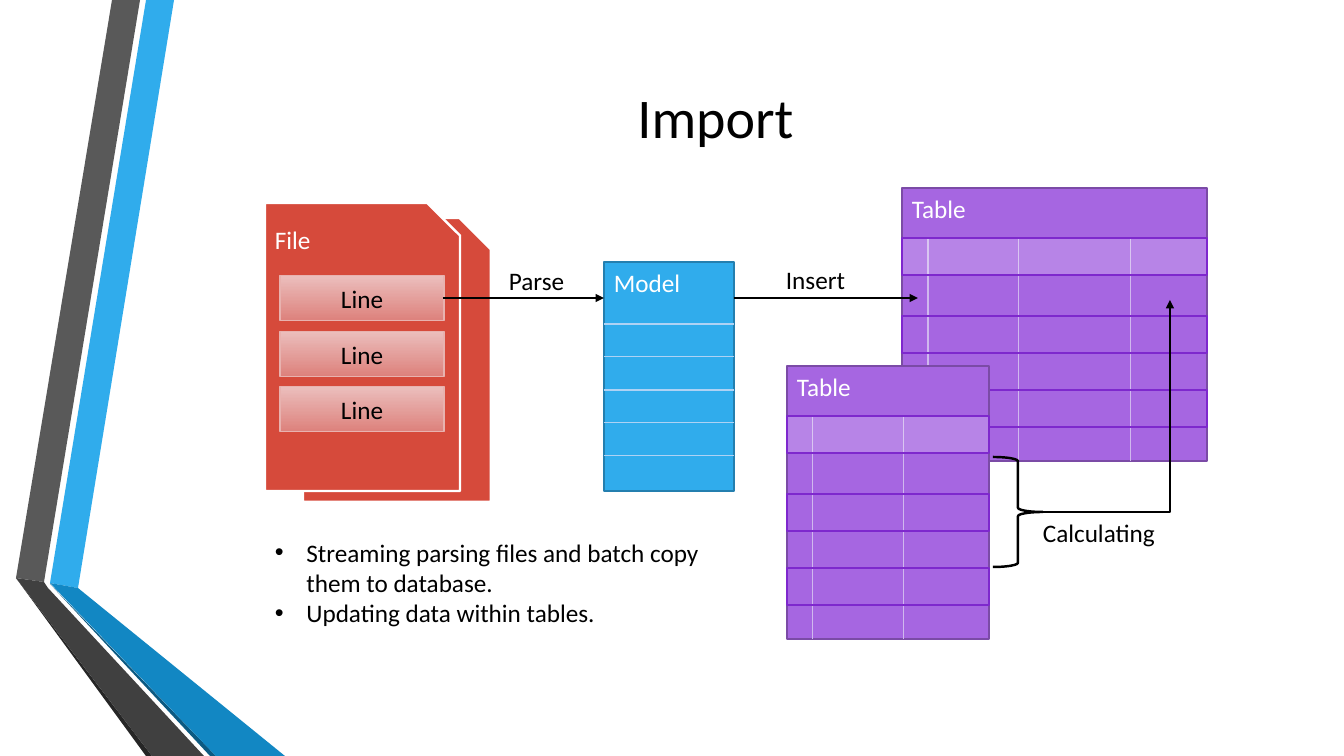
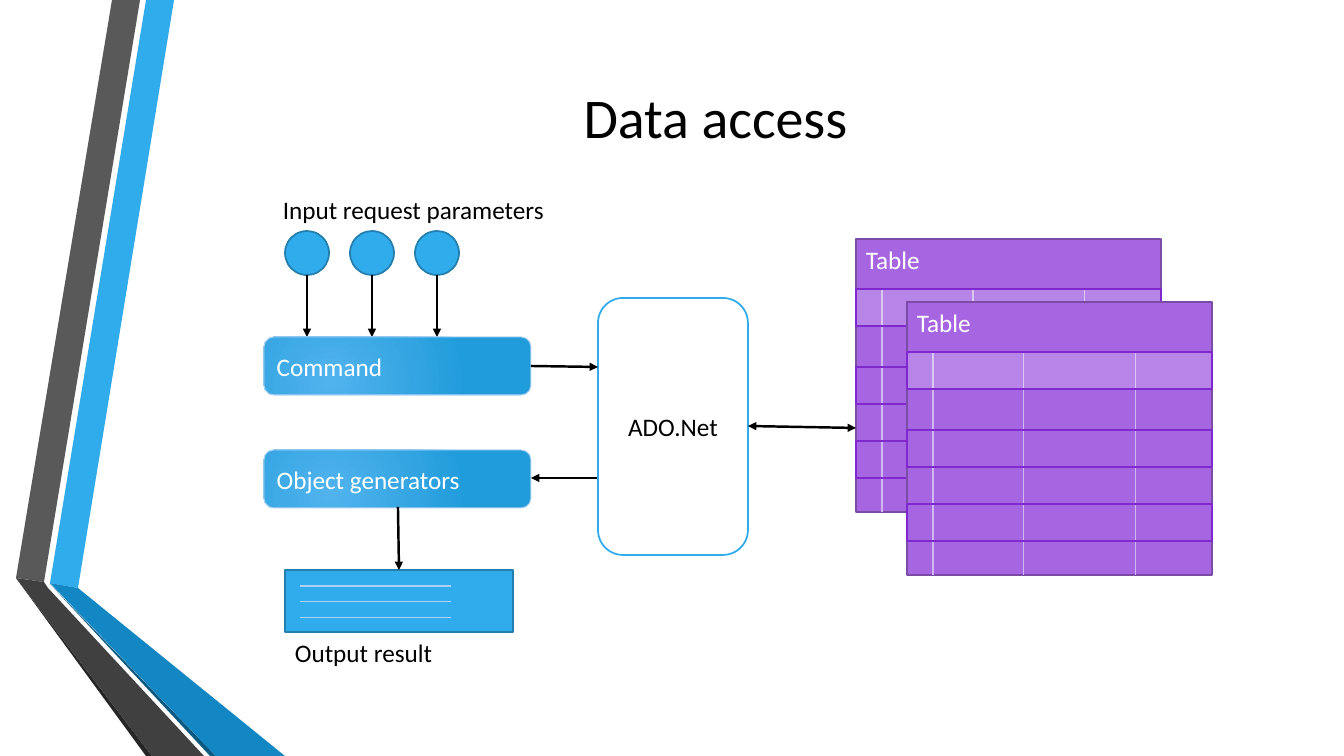
import lxml.etree
import pptx
import pptx.dml.color
import pptx.enum.dml
import pptx.enum.shapes
import pptx.enum.text
import pptx.oxml.ns
import pptx.util

RGB = pptx.dml.color.RGBColor
SHAPE = pptx.enum.shapes.MSO_SHAPE
CONNECTOR = pptx.enum.shapes.MSO_CONNECTOR
ALIGN = pptx.enum.text.PP_ALIGN
ANCHOR = pptx.enum.text.MSO_ANCHOR
qn = pptx.oxml.ns.qn

EMU_PER_PX = 914400 / 100.8
FONT = "Calibri"
BODY_PT, TITLE_PT = 18, 40
HAIR, THIN, THICK = 0.75, 1.25, 1.75

BLACK = RGB(0x00, 0x00, 0x00)
WHITE = RGB(0xFF, 0xFF, 0xFF)
BLUE = RGB(0x30, 0xAC, 0xEC)
BLUE_EDGE = RGB(0x24, 0x7F, 0xAF)
BLUE_RULE = RGB(0xAE, 0xD2, 0xF4)
BLUE_GLOW = (RGB(0x51, 0xB3, 0xED), RGB(0x21, 0x9C, 0xDB))
DEEP_BLUE = RGB(0x12, 0x87, 0xC3)
NAVY = RGB(0x0C, 0x5A, 0x82)
GRAY = RGB(0x59, 0x59, 0x59)
CHARCOAL = RGB(0x40, 0x40, 0x40)
SOOT = RGB(0x26, 0x26, 0x26)
RED = RGB(0xD6, 0x4A, 0x3B)
PINK_FADE = (RGB(0xEB, 0xBE, 0xBC), RGB(0xDD, 0x81, 0x7C))
PINK_EDGE = RGB(0xE8, 0xB2, 0xAF)
PURPLE = RGB(0xA6, 0x66, 0xE1)
PURPLE_EDGE = RGB(0x7B, 0x4B, 0xA6)
PURPLE_ROW = RGB(0x7E, 0x28, 0xCD)
PURPLE_RULE = RGB(0xD0, 0xB8, 0xEE)

SLIDE_SIZE = (1344, 756)
TITLE_BOX = (163, 76, 1105, 80)
BANDS = [
    (BLUE, [(50, 583), (78, 588), (174, 0), (146, 0)]),
    (GRAY, [(140, 0), (112, 0), (16, 578), (44, 582)]),
    (SOOT, [(16, 578), (146, 756), (152, 756)]),
    (NAVY, [(50, 584), (210, 756), (216, 756)]),
    (DEEP_BLUE, [(50, 583), (216, 756), (285, 756), (78, 588)]),
    (CHARCOAL, [(204, 756), (48, 588), (44, 582), (16, 578), (152, 756)]),
]

TABLE_HEIGHT, TABLE_HEADER, TABLE_ROW = 273, 50, 37
TABLE_COLUMNS = (26, 117, 229)
TABLE_ROW_TOPS = (128, 202)

IMPORT = {
    "title": "Import",
    "files": [((303, 218, 188, 284), ""), ((265, 203, 195, 288), "File")],
    "lines": ["Line"] * 3,
    "model": "Model",
    "tables": [("Table", 902, 188, 305), ("Table", 787, 366, 202)],
    "arrows": [(443, 298, 604, 298), (734, 298, 918, 298)],
    "labels": [("Parse", (499, 260, 99, 40)), ("Insert", (776, 259, 85, 40)),
               ("Calculating", (1033, 512, 140, 40))],
    "notes": ["Streaming parsing files and batch copy them to database.",
              "Updating data within tables."],
}
ACCESS = {
    "title": "Data access",
    "tables": [("Table", 856, 239, 305), ("Table", 907, 302, 305)],
    "steps": [("Command", 337), ("Object generators", 450)],
    "gateway": "ADO.Net",
    "arrows": [(531, 366, 598, 367), (597, 478, 531, 478), (398, 507, 399, 570)],
    "labels": [("Input request parameters", (273, 189, 361, 40)),
               ("Output result", (285, 632, 263, 40))],
}


def px(length):
    """Turn pixels into EMU."""
    return round(length * EMU_PER_PX)


def style_text(frame, color, align=ALIGN.LEFT, anchor=ANCHOR.TOP, size=BODY_PT):
    """Format every paragraph and run of a text frame."""
    frame.word_wrap = True
    frame.vertical_anchor = anchor
    for paragraph in frame.paragraphs:
        paragraph.alignment = align
        for run in paragraph.runs:
            run.font.name = FONT
            run.font.size = pptx.util.Pt(size)
            run.font.color.rgb = color


def add_box(shapes, kind, box, fill, edge, width=THIN):
    """Add a preset shape; fill is a colour, a pair for a gradient, or None."""
    shape = shapes.add_shape(kind, *map(px, box))
    shape.shadow.inherit = False
    if fill is None:
        shape.fill.background()
    elif isinstance(fill, RGB):
        shape.fill.solid()
        shape.fill.fore_color.rgb = fill
    else:
        shape.fill.gradient()
        shape.fill.gradient_angle = 270
        for position, (stop, color) in enumerate(zip(shape.fill.gradient_stops, fill)):
            stop.position = position
            stop.color.rgb = color
    shape.line.color.rgb = edge
    shape.line.width = pptx.util.Pt(width)
    return shape


def add_line(shapes, ends, color=BLACK, width=THICK, heads=(), kind=CONNECTOR.STRAIGHT):
    """Add a line; heads names the ends, headEnd or tailEnd, that get arrowheads."""
    line = shapes.add_connector(kind, *map(px, ends))
    line.line.color.rgb = color
    line.line.width = pptx.util.Pt(width)
    properties = line.element.spPr
    for head in heads:
        lxml.etree.SubElement(properties.find(qn("a:ln")), qn(f"a:{head}"), type="triangle")
    lxml.etree.SubElement(properties, qn("a:effectLst"))
    return line


def add_arrow(shapes, ends, **options):
    """Add a line with an arrowhead at its far end."""
    return add_line(shapes, ends, heads=("tailEnd",), **options)


def add_label(shapes, text, box):
    """Add a black text box that grows with its text."""
    label = shapes.add_textbox(*map(px, box))
    label.text_frame.text = text
    style_text(label.text_frame, BLACK)
    label.text_frame.auto_size = pptx.enum.text.MSO_AUTO_SIZE.SHAPE_TO_FIT_TEXT
    return label


def add_table_sketch(slide, name, left, top, width):
    """Draw a database table as a group: frame, column rules and rows."""
    shapes = slide.shapes.add_group_shape().shapes
    frame = add_box(shapes, SHAPE.RECTANGLE, (left, top, width, TABLE_HEIGHT),
                    PURPLE, PURPLE_EDGE)
    frame.text_frame.text = name
    style_text(frame.text_frame, WHITE)
    for column in TABLE_COLUMNS:
        if column < width:
            x = left + column
            add_line(shapes, (x, top + TABLE_HEADER, x, top + TABLE_HEIGHT),
                     PURPLE_RULE, HAIR)
    header = add_box(shapes, SHAPE.RECTANGLE, (left, top + TABLE_HEADER, width, TABLE_ROW),
                     WHITE, PURPLE_ROW)
    tint = header.element.spPr.find(qn("a:solidFill"))[0]
    lxml.etree.SubElement(tint, qn("a:alpha"), val="20000")
    for row_top in TABLE_ROW_TOPS:
        add_box(shapes, SHAPE.RECTANGLE, (left, top + row_top, width, TABLE_ROW),
                None, PURPLE_ROW)


def add_bands(layout, slide):
    """Draw the side bands and place them on the layout all slides share."""
    for unused in list(layout.placeholders)[1:]:
        layout.shapes.element.remove(unused.element)
    for color, points in BANDS:
        outline = [(px(x), px(y)) for x, y in points]
        builder = slide.shapes.build_freeform(*outline[0])
        builder.add_line_segments(outline[1:])
        band = builder.convert_to_shape()
        band.shadow.inherit = False
        band.fill.solid()
        band.fill.fore_color.rgb = color
        band.line.fill.background()
        layout.shapes.element.append(band.element)


def start_slide(deck, layout, title):
    """Add a slide with its formatted title."""
    slide = deck.slides.add_slide(layout)
    heading = slide.shapes.title
    heading.left, heading.top, heading.width, heading.height = map(px, TITLE_BOX)
    heading.text_frame.text = title
    style_text(heading.text_frame, BLACK, ALIGN.CENTER, ANCHOR.MIDDLE, TITLE_PT)
    return slide


def add_common(slide, content):
    """Draw the tables, arrows and labels listed in the content."""
    for table in content["tables"]:
        add_table_sketch(slide, *table)
    for ends in content["arrows"]:
        add_arrow(slide.shapes, ends)
    for text, box in content["labels"]:
        add_label(slide.shapes, text, box)


def draw_import(slide, content):
    """Draw files parsed into a model and inserted into tables."""
    shapes = slide.shapes
    for box, name in content["files"]:
        sheet = add_box(shapes, SHAPE.SNIP_1_RECTANGLE, box, RED, WHITE, THICK)
        sheet.text_frame.text = name
        style_text(sheet.text_frame, WHITE)
    for index, text in enumerate(content["lines"]):
        record = add_box(shapes, SHAPE.RECTANGLE, (280, 276 + 55.5 * index, 164, 45),
                         PINK_FADE, PINK_EDGE, HAIR)
        record.text_frame.text = text
        style_text(record.text_frame, BLACK, ALIGN.CENTER, ANCHOR.MIDDLE)

    model_shapes = shapes.add_group_shape().shapes
    model = add_box(model_shapes, SHAPE.RECTANGLE, (604, 262, 130, 229), BLUE, BLUE_EDGE)
    model.text_frame.text = content["model"]
    style_text(model.text_frame, WHITE)
    for y in range(324, 457, 33):
        add_line(model_shapes, (604, y, 734, y), BLUE_RULE, HAIR)

    add_common(slide, content)
    add_box(shapes, SHAPE.RIGHT_BRACE, (993, 457, 50, 110), None, BLACK, THICK)
    update = add_arrow(shapes, (1043, 512, 1170, 300), kind=CONNECTOR.ELBOW)
    update.element.spPr.find(qn("a:prstGeom")).set("prst", "bentConnector2")

    notes = add_label(shapes, "\n".join(content["notes"]), (265, 532, 462, 102))
    for paragraph in notes.text_frame.paragraphs:
        properties = paragraph._p.get_or_add_pPr()
        properties.set("marL", str(px(31.5)))
        properties.set("indent", str(-px(31.5)))
        lxml.etree.SubElement(properties, qn("a:buFont"), typeface="Arial")
        lxml.etree.SubElement(properties, qn("a:buChar"), char="•")


def draw_access(slide, content):
    """Draw parameters, commands and results passing through the gateway."""
    shapes = slide.shapes
    for index in range(3):
        left = 285 + 65 * index
        add_box(shapes, SHAPE.OVAL, (left, 231, 44, 44), BLUE, BLUE_EDGE)
        add_arrow(shapes, (left + 22, 275, left + 22, 337))
    for name, top in content["steps"]:
        step = add_box(shapes, SHAPE.ROUNDED_RECTANGLE, (264, top, 267, 58),
                       BLUE_GLOW, BLUE_RULE, HAIR)
        gradient = step.element.spPr.find(qn("a:gradFill"))
        gradient.remove(gradient.find(qn("a:lin")))
        circle = lxml.etree.SubElement(gradient, qn("a:path"))
        circle.set("path", "circle")
        lxml.etree.SubElement(circle, qn("a:fillToRect"),
                              l="50000", t="100000", r="100000", b="50000")
        step.text_frame.text = name
        style_text(step.text_frame, WHITE, anchor=ANCHOR.MIDDLE)

    gateway = add_box(shapes, SHAPE.ROUNDED_RECTANGLE, (598, 298, 150, 257), WHITE, BLUE)
    gateway.text_frame.text = content["gateway"]
    style_text(gateway.text_frame, BLACK, ALIGN.CENTER, ANCHOR.MIDDLE)

    result_shapes = shapes.add_group_shape().shapes
    add_box(result_shapes, SHAPE.RECTANGLE, (285, 570, 228, 62), BLUE, BLUE_EDGE)
    for y in range(586, 619, 16):
        add_line(result_shapes, (300, y, 451, y), BLUE_RULE, HAIR)

    add_common(slide, content)
    add_line(shapes, (748, 426, 856, 428), heads=("headEnd", "tailEnd"))


def main():
    """Build and save the deck."""
    deck = pptx.Presentation()
    deck.slide_width, deck.slide_height = map(px, SLIDE_SIZE)
    layout = deck.slide_layouts.get_by_name("Title Only")
    import_slide = start_slide(deck, layout, IMPORT["title"])
    add_bands(layout, import_slide)
    draw_import(import_slide, IMPORT)
    draw_access(start_slide(deck, layout, ACCESS["title"]), ACCESS)
    deck.save("out.pptx")


main()
